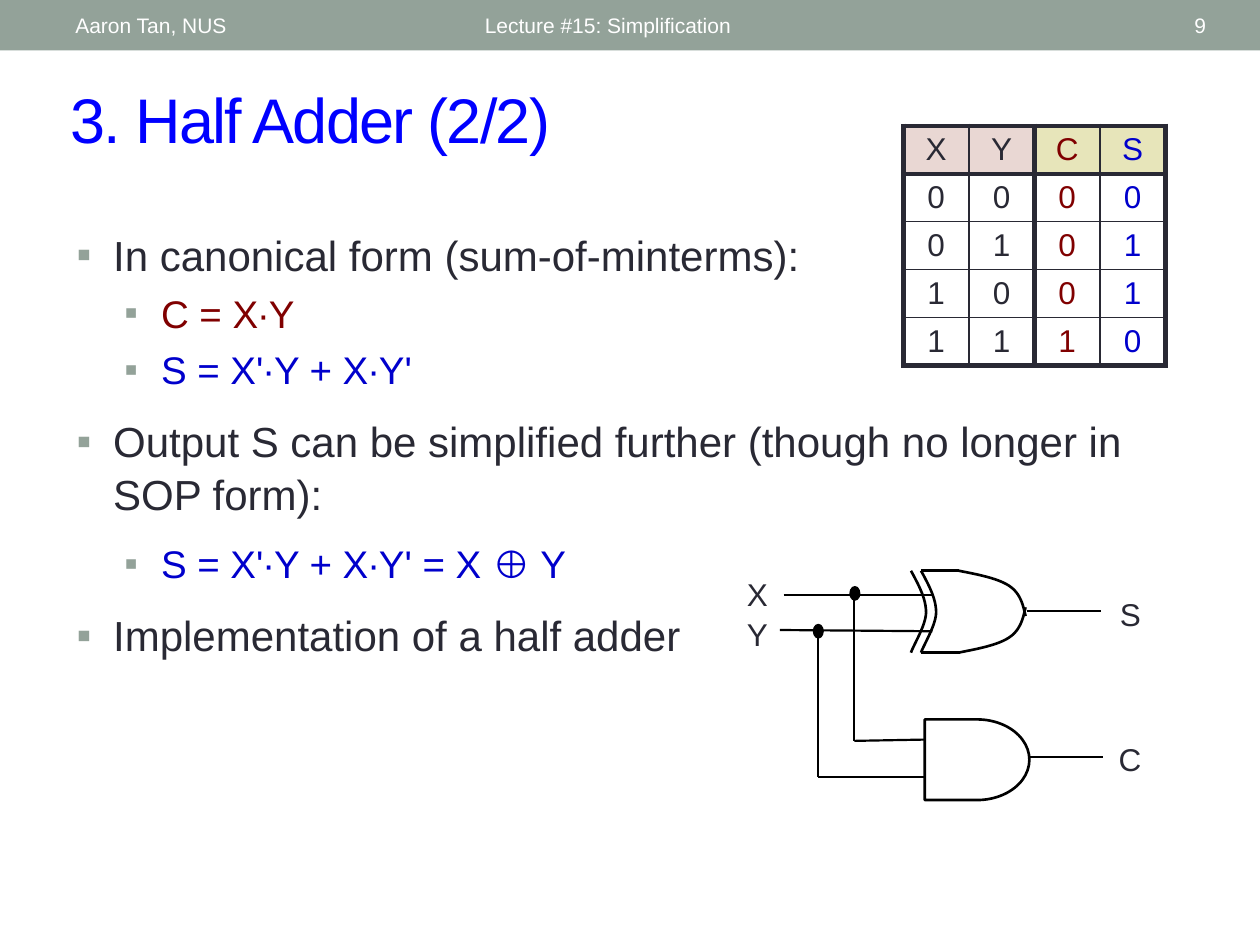
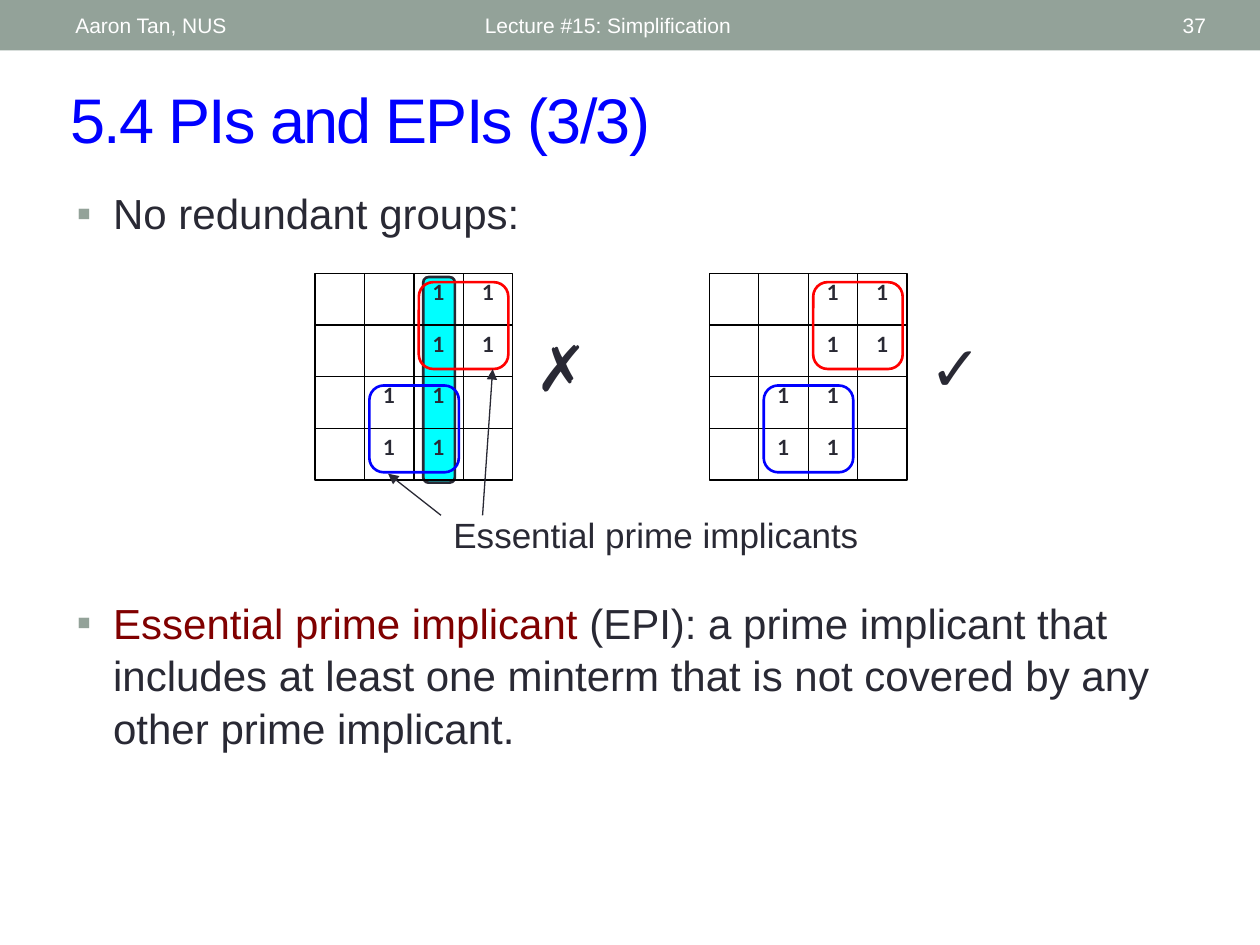
from dataclasses import dataclass

from lxml import etree
from pptx import Presentation
from pptx.dml.color import RGBColor
from pptx.enum.shapes import MSO_CONNECTOR, MSO_SHAPE
from pptx.enum.text import MSO_ANCHOR, MSO_AUTO_SIZE, PP_ALIGN
from pptx.oxml.ns import qn
from pptx.util import Inches, Pt

INK, SAGE, WHITE, BLACK = "292934", "93A299", "FFFFFF", "000000"
BLUE, NAVY, MAROON, RED, CYAN = "0000FF", "0000CC", "800000", "FF0000", "00FFFF"
ROSE, OLIVE = "E9D7D3", "E7E5BA"
LECTURER, LECTURE = "Aaron Tan, NUS", "Lecture #15: Simplification"
LINE_SPACING = 1.05


@dataclass
class Box:
    """Area in inches, divided into a grid of columns and rows."""
    left: float
    top: float
    width: float
    height: float
    cols: float = 1
    rows: float = 1

    def point(self, col, row):
        return (self.left + self.width * col / self.cols,
                self.top + self.height * row / self.rows)

    def area(self, col, row, wide, high, cols=1, rows=1):
        return Box(*self.point(col, row), self.width * wide / self.cols,
                   self.height * high / self.rows, cols, rows)

    def emu(self):
        return [Inches(v) for v in (self.left, self.top, self.width, self.height)]


SLIDE = Box(0, 0, 10, 7.5, 100, 75)


def rgb(color):
    return RGBColor.from_string(color)


def write(paragraph, text, *, size=18, color=INK, font="Arial", bold=False,
          align=PP_ALIGN.LEFT, before=0, spacing=LINE_SPACING):
    """Add a run to the paragraph; before is in points."""
    paragraph.alignment = align
    paragraph.space_before = Pt(before)
    paragraph.line_spacing = spacing
    run = paragraph.add_run()
    run.text = text
    run.font.size, run.font.name, run.font.bold = Pt(size), font, bold
    run.font.color.rgb = rgb(color)
    return run


def add_frame(slide, box, anchor=MSO_ANCHOR.TOP):
    frame = slide.shapes.add_textbox(*box.emu()).text_frame
    frame.word_wrap = True
    frame.vertical_anchor = anchor
    return frame


def add_label(slide, box, *lines, anchor=MSO_ANCHOR.TOP, **style):
    frame = add_frame(slide, box, anchor)
    for i, line in enumerate(lines):
        write(frame.paragraphs[0] if i == 0 else frame.add_paragraph(), line, **style)


def outline(shape, color, weight, fill=None):
    shape.shadow.inherit = False
    if fill:
        shape.fill.solid()
        shape.fill.fore_color.rgb = rgb(fill)
    else:
        shape.fill.background()
    if color:
        shape.line.color.rgb = rgb(color)
        shape.line.width = Pt(weight)
    else:
        shape.line.fill.background()


def add_preset(slide, kind, box, color=None, weight=1.5, fill=None):
    outline(slide.shapes.add_shape(kind, *box.emu()), color, weight, fill)


def add_line(slide, start, end, color=BLACK, weight=1.25, arrow=False):
    ends = [Inches(v) for v in (*start, *end)]
    line = slide.shapes.add_connector(MSO_CONNECTOR.STRAIGHT, *ends)
    line.line.color.rgb = rgb(color)
    line.line.width = Pt(weight)
    if arrow:
        etree.SubElement(line.line._get_or_add_ln(), qn("a:tailEnd"), type="triangle")
    etree.SubElement(line._element.spPr, qn("a:effectLst"))


def add_curve(slide, controls, steps=12):
    """Draw joined cubic curves; each takes three more control points."""
    points = [controls[0]]
    for first in range(0, len(controls) - 1, 3):
        p0, p1, p2, p3 = controls[first:first + 4]
        for step in range(1, steps + 1):
            t = step / steps
            u = 1 - t
            points.append(tuple(u**3 * a + 3 * u * u * t * b + 3 * u * t * t * c + t**3 * d
                                for a, b, c, d in zip(p0, p1, p2, p3)))
    points = [(Inches(x), Inches(y)) for x, y in points]
    builder = slide.shapes.build_freeform(*points[0])
    builder.add_line_segments(points[1:], close=False)
    outline(builder.convert_to_shape(), BLACK, 1.5)


def add_bullet(paragraph, indent, hanging):
    props = paragraph._p.get_or_add_pPr()
    props.set("marL", str(Inches(indent)))
    props.set("indent", str(-Inches(hanging)))
    color = etree.SubElement(props, qn("a:buClr"))
    etree.SubElement(color, qn("a:srgbClr"), val=SAGE)
    etree.SubElement(props, qn("a:buFont"), typeface="Arial")
    etree.SubElement(props, qn("a:buChar"), char="▪")


def add_bullets(slide, box, items):
    """Each item is level, gap before as a share of the size, and (text, color) runs."""
    frame = add_frame(slide, box)
    for i, (level, gap, *runs) in enumerate(items):
        paragraph = frame.add_paragraph() if i else frame.paragraphs[0]
        paragraph.level = level
        add_bullet(paragraph, (0.3, 0.68)[level], 0.29)
        size = (24, 22)[level]
        for text, color in runs:
            write(paragraph, text, size=size, color=color, before=gap * size if i else 0)


def add_titled_slide(prs, title, number):
    slide = prs.slides.add_slide(prs.slide_layouts[5])
    add_preset(slide, MSO_SHAPE.RECTANGLE, SLIDE.area(0, 0, 100, 4), fill=SAGE)
    heading = slide.shapes.title
    heading.left, heading.top, heading.width, heading.height = SLIDE.area(4.6, 5.7, 90.7, 7).emu()
    frame = heading.text_frame
    frame.vertical_anchor = MSO_ANCHOR.MIDDLE
    frame.auto_size = MSO_AUTO_SIZE.NONE
    run = write(frame.paragraphs[0], title, size=36, color=BLUE)
    run.font._element.set("spc", "-100")
    for text, left, width, align in ((LECTURE, 37.5, 45, PP_ALIGN.LEFT),
                                     (str(number), 87.2, 9.5, PP_ALIGN.RIGHT),
                                     (LECTURER, 5, 31.7, PP_ALIGN.LEFT)):
        add_label(slide, SLIDE.area(left, 0.2, width, 3.6), text, size=12, color=WHITE,
                  align=align, anchor=MSO_ANCHOR.MIDDLE, spacing=1)
    return slide


def add_borders(cell, **weights):
    """Weights in points for L, R, T and B, in that order."""
    props = cell._tc.get_or_add_tcPr()
    for side, weight in weights.items():
        border = etree.SubElement(props, qn(f"a:ln{side}"), w=str(Pt(weight)))
        fill = etree.SubElement(border, qn("a:solidFill"))
        etree.SubElement(fill, qn("a:srgbClr"), val=INK)


def add_truth_table(slide, box):
    rows = ["XYCS", "0000", "0101", "1001", "1110"]
    table = slide.shapes.add_table(len(rows), len(rows[0]), *box.emu()).table
    table.first_row = table.horz_banding = False
    for r, values in enumerate(rows):
        table.rows[r].height = Inches(box.height / len(rows))
        for c, value in enumerate(values):
            cell = table.cell(r, c)
            add_borders(cell, L=1 if c % 2 else 3, R=3 if c % 2 else 1,
                        T=3 if r < 2 else 1, B=3 if r in (0, len(rows) - 1) else 1)
            if r == 0:
                cell.fill.solid()
                cell.fill.fore_color.rgb = rgb(ROSE if c < 2 else OLIVE)
            else:
                cell.fill.background()
            cell.margin_top = cell.margin_bottom = Inches(0.04)
            cell.vertical_anchor = MSO_ANCHOR.MIDDLE
            write(cell.text_frame.paragraphs[0], value, align=PP_ALIGN.CENTER,
                  color=(INK, INK, MAROON, NAVY)[c], spacing=1)


def add_xor_gate(slide, box):
    back = [(0, 0), (0.6, 1.1), (1.2, 2.2), (1.2, 3.3), (1.2, 4.3), (0.2, 5.9), (0, 6.5)]
    nose = [(3, 0), (4.5, 0.3), (6.1, 0.6), (7, 1.2), (7.9, 1.8), (8.1, 2.7), (8.3, 3.6)]
    for shift in (0, -0.8):
        add_curve(slide, [box.point(x + shift, y) for x, y in back])
    for edge in (0, 6.5):
        add_line(slide, box.point(0, edge), box.point(3, edge), weight=1.5)
        add_curve(slide, [box.point(x, abs(edge - y)) for x, y in nose])


def add_half_adder(slide, box):
    add_preset(slide, MSO_SHAPE.FLOWCHART_DELAY, box.area(15.4, 12.1, 8.3, 6.4), BLACK)
    wires = [(4.2, 2.2, 16, 2.2), (3.9, 5, 16, 5.1), (23.5, 3.5, 29.4, 3.5),
             (9.8, 13.8, 15.4, 13.7), (9.8, 2.1, 9.8, 13.8), (6.9, 5, 6.9, 16.7),
             (6.9, 16.7, 15.4, 16.7), (23.7, 15.1, 29.5, 15.1)]
    for x1, y1, x2, y2 in wires:
        add_line(slide, box.point(x1, y1), box.point(x2, y2))
    for x, y in ((6.6, 4.6), (9.5, 1.6)):
        add_preset(slide, MSO_SHAPE.OVAL, box.area(x, y, 0.7, 1), BLACK, 1.25, BLACK)
    add_xor_gate(slide, box.area(15.1, 0.3, 8.3, 6.5, 8.3, 6.5))
    add_label(slide, box.area(0.3, 0, 4, 5.5), "X", "Y")
    add_label(slide, box.area(29.9, 1.6, 4, 3.5), "S")
    add_label(slide, box.area(29.8, 13.1, 4, 3.5), "C")


def add_karnaugh_map(slide, box, verdict, redundant=False):
    """Draw a 4 by 4 map with two groups of four, and the verdict beside it."""
    if redundant:
        add_preset(slide, MSO_SHAPE.ROUNDED_RECTANGLE, box.area(2.19, 0.07, 0.64, 3.98),
                   INK, fill=CYAN)
    add_preset(slide, MSO_SHAPE.RECTANGLE, box.area(0, 0, 4, 4), BLACK, 0.75)
    for i in (1, 2, 3):
        add_line(slide, box.point(0, i), box.point(4, i), weight=0.75)
        add_line(slide, box.point(i, 0), box.point(i, 4), weight=0.75)
    for col, row, color in ((1, 2, BLUE), (2, 0, RED)):
        for i in range(4):
            add_label(slide, box.area(col + i % 2, row + i // 2, 1, 1), "1", size=12,
                      font="Lato", bold=True, align=PP_ALIGN.CENTER, spacing=1)
        add_preset(slide, MSO_SHAPE.ROUNDED_RECTANGLE,
                   box.area(col + 0.1, row + 0.17, 1.81, 1.68), color)
    add_label(slide, box.area(4.2, 0.88, 2, 2.3), verdict, size=36)


def add_implicant_callout(slide, box):
    add_label(slide, box.area(4.2, 10.8, 36.7, 4.3), "Essential prime implicants", size=20)
    for start, end in (((7.5, 11.6), (8.3, 0)), ((4.2, 11.6), (0, 8.3))):
        add_line(slide, box.point(*start), box.point(*end), INK, 0.75, arrow=True)


def build_half_adder_slide(prs):
    slide = add_titled_slide(prs, "3. Half Adder (2/2)", 9)
    add_bullets(slide, SLIDE.area(5, 17.5, 90, 49.5), [
        (0, 0.2, ("In canonical form (sum-of-minterms):", INK)),
        (1, 0.2, ("C = X∙Y", MAROON)),
        (1, 0.2, ("S = X'∙Y + X∙Y'", NAVY)),
        (0, 0.5, ("Output S can be simplified further (though no longer in SOP form):", INK)),
        (1, 0.5, ("S = X'∙Y + X∙Y' = X ⊕ Y", NAVY)),
        (0, 0.5, ("Implementation of a half adder", INK))])
    add_truth_table(slide, SLIDE.area(71.7, 10, 20.8, 19))
    add_half_adder(slide, SLIDE.area(58, 45, 34, 19, 34, 19))


def build_implicants_slide(prs):
    slide = add_titled_slide(prs, "5.4 PIs and EPIs (3/3)", 37)
    add_bullets(slide, SLIDE.area(5, 14.2, 90, 6.7), [(0, 0.2, ("No redundant groups:", INK))])
    add_karnaugh_map(slide, SLIDE.area(56.3, 21.7, 15.7, 16.4, 4, 4), "✓")
    add_karnaugh_map(slide, SLIDE.area(25, 21.7, 15.7, 16.4, 4, 4), "✗", redundant=True)
    add_bullets(slide, SLIDE.area(5, 46.7, 90, 16.7), [
        (0, 0.2, ("Essential prime implicant", MAROON),
         (" (EPI): a prime implicant that includes at least one minterm "
          "that is not covered by any other prime implicant.", INK))])
    add_implicant_callout(slide, SLIDE.area(30.8, 29.3, 41, 15, 41, 15))


def main():
    prs = Presentation()
    prs.slide_width, prs.slide_height = Inches(SLIDE.width), Inches(SLIDE.height)
    build_half_adder_slide(prs)
    build_implicants_slide(prs)
    prs.save("out.pptx")


if __name__ == "__main__":
    main()
